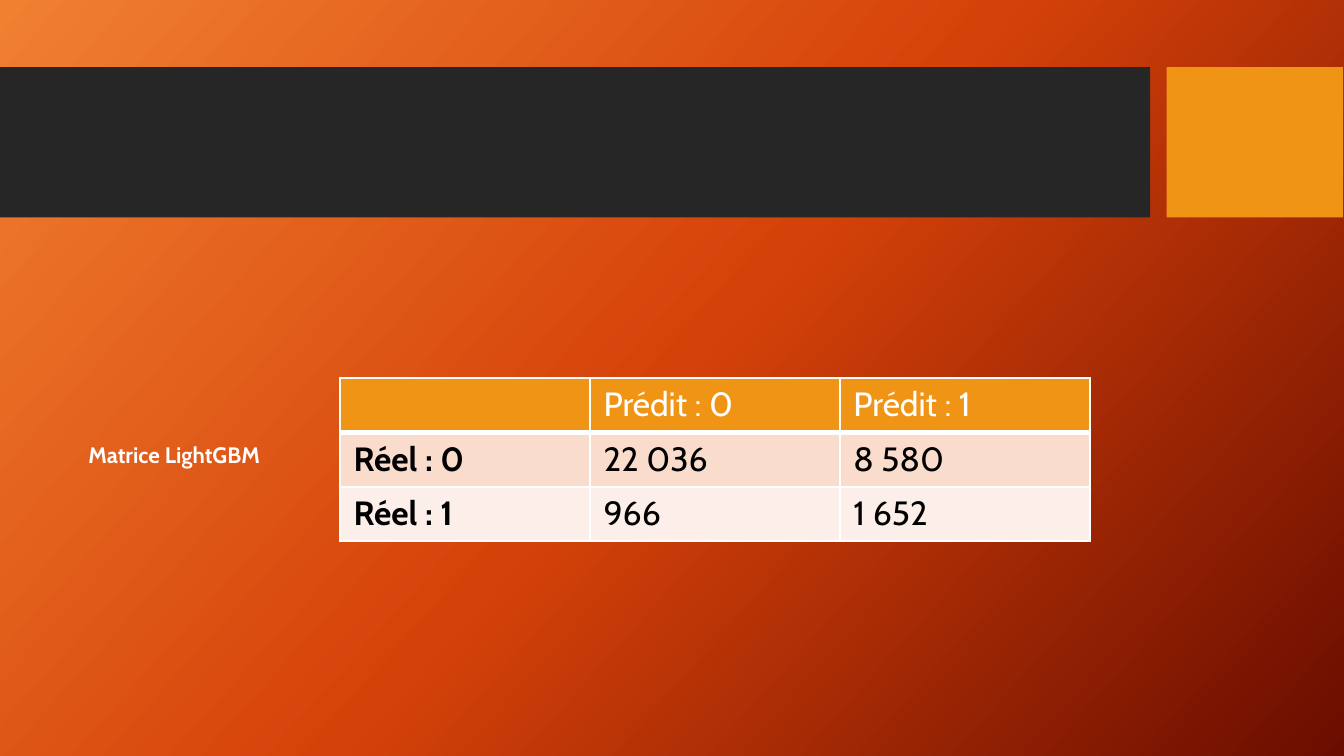
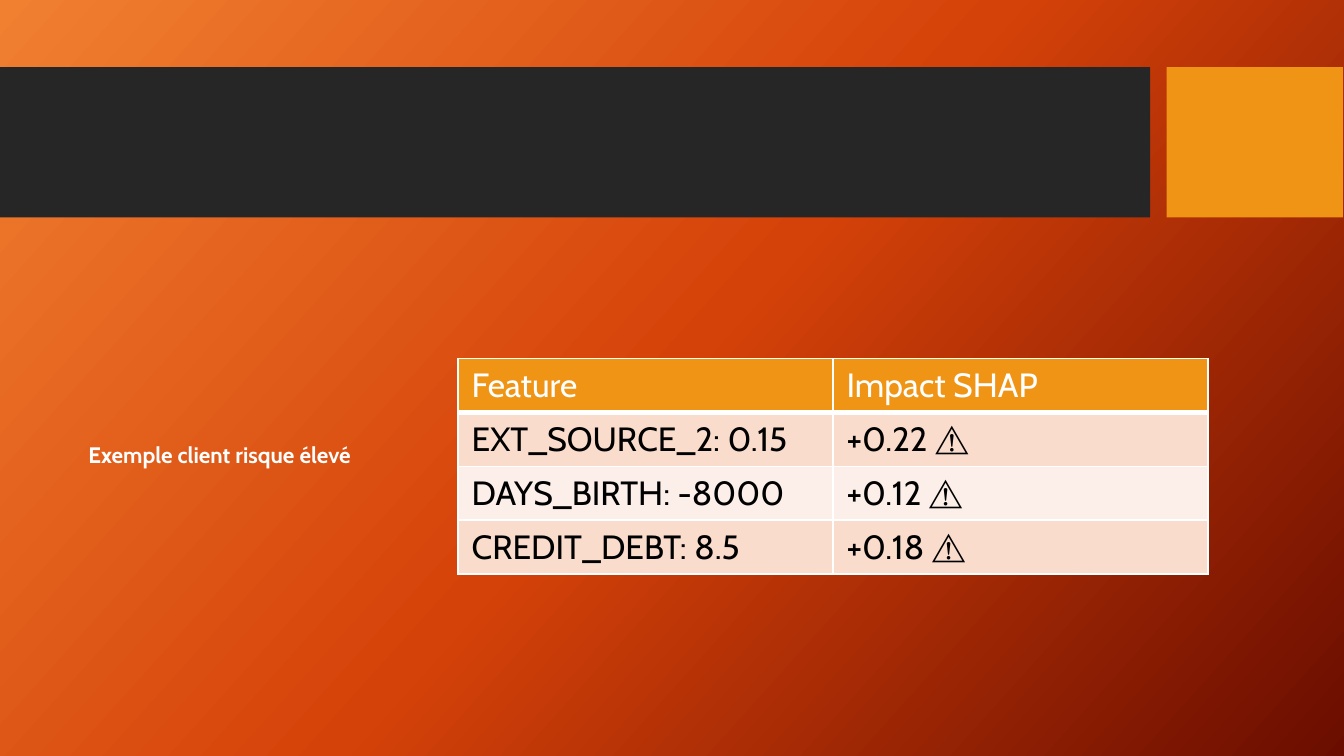
"""Build two slides: a confusion matrix and the SHAP impacts of a risky client."""
from copy import deepcopy

from lxml.etree import SubElement
from pptx import Presentation
from pptx.dml.color import RGBColor
from pptx.enum.shapes import MSO_SHAPE as Shape
from pptx.enum.text import MSO_ANCHOR as Anchor
from pptx.oxml.ns import qn
from pptx.util import Cm, Pt

WHITE = RGBColor(0xFF, 0xFF, 0xFF)
BLACK = RGBColor(0x00, 0x00, 0x00)
CHARCOAL = RGBColor(0x26, 0x26, 0x26)
AMBER = RGBColor(0xF0, 0x94, 0x15)
PEACH = RGBColor(0xF9, 0xDC, 0xCC)
PALE_PEACH = RGBColor(0xFC, 0xEE, 0xE8)
BACKDROP = [
    (0, RGBColor(0xF1, 0x80, 0x31)),
    (0.5, RGBColor(0xD5, 0x42, 0x09)),
    (1, RGBColor(0x6A, 0x0D, 0x00)),
]
FONT = "Cabin"
BANDS = [(0, 21.74, CHARCOAL), (22.05, 3.33, AMBER)]
TABLE_WIDTH = 14.17
ROW_HEIGHT = 0.82

PAGES = [
    {
        "label": "Matrice LightGBM",
        "corner": (6.43, 7.14),
        "bold_first_column": True,
        "rows": [
            ("", "Prédit : 0", "Prédit : 1"),
            ("Réel : 0", "22 036", "8 580"),
            ("Réel : 1", "966", "1 652"),
        ],
    },
    {
        "label": "Exemple client risque élevé",
        "corner": (8.66, 6.78),
        "bold_first_column": False,
        "rows": [
            ("Feature", "Impact SHAP"),
            ("EXT_SOURCE_2: 0.15", "+0.22 ⚠️"),
            ("DAYS_BIRTH: -8000", "+0.12 ⚠️"),
            ("CREDIT_DEBT: 8.5", "+0.18 ⚠️"),
        ],
    },
]


def add_run(paragraph, text, size, color, bold):
    run = paragraph.add_run()
    run.text = text
    run.font.name = FONT
    run.font.size = Pt(size)
    run.font.bold = bold
    run.font.color.rgb = color


def add_borders(cell, bottom_width):
    properties = cell._tc.get_or_add_tcPr()
    widths = {"a:lnL": 1, "a:lnR": 1, "a:lnT": 1, "a:lnB": bottom_width}
    for position, (side, width) in enumerate(widths.items()):
        border = SubElement(properties, qn(side), w=str(Pt(width)))
        SubElement(SubElement(border, qn("a:solidFill")), qn("a:srgbClr"), val=str(WHITE))
        properties.insert(position, border)


prs = Presentation()
prs.slide_width, prs.slide_height = Cm(25.4), Cm(14.29)

backdrop = prs.slide_master.background.fill
backdrop.gradient()
backdrop.gradient_angle = 360 - 42
stop_list = prs.slide_master.element.find(".//" + qn("a:gsLst"))
stop_list.append(deepcopy(stop_list[0]))
for stop, (position, color) in zip(backdrop.gradient_stops, BACKDROP):
    stop.position = position
    stop.color.rgb = color

for page in PAGES:
    slide = prs.slides.add_slide(prs.slide_layouts[6])

    for left, width, color in BANDS:
        band = slide.shapes.add_shape(Shape.RECTANGLE, Cm(left), Cm(1.27), Cm(width), Cm(2.84))
        band.shadow.inherit = False
        band.fill.solid()
        band.fill.fore_color.rgb = color
        band.line.fill.background()

    rows = page["rows"]
    left, top = page["corner"]
    results = slide.shapes.add_table(
        len(rows), len(rows[0]), Cm(left), Cm(top), Cm(TABLE_WIDTH), Cm(ROW_HEIGHT * len(rows))
    ).table
    for r, row in enumerate(rows):
        header = r == 0
        for c, text in enumerate(row):
            cell = results.cell(r, c)
            cell.fill.solid()
            cell.fill.fore_color.rgb = AMBER if header else PEACH if r % 2 else PALE_PEACH
            add_borders(cell, 3 if header else 1)
            if text:
                bold = page["bold_first_column"] and c == 0
                add_run(cell.text_frame.paragraphs[0], text, 18, WHITE if header else BLACK, bold)

    label = slide.shapes.add_textbox(Cm(1.42), Cm(4.88), Cm(7.9), Cm(7.49)).text_frame
    label.word_wrap = True
    label.vertical_anchor = Anchor.MIDDLE
    caption = label.paragraphs[0]
    caption.line_spacing = 0.9
    caption.space_before = Pt(7.5)
    add_run(caption, page["label"], 12, WHITE, True)

prs.save("out.pptx")
